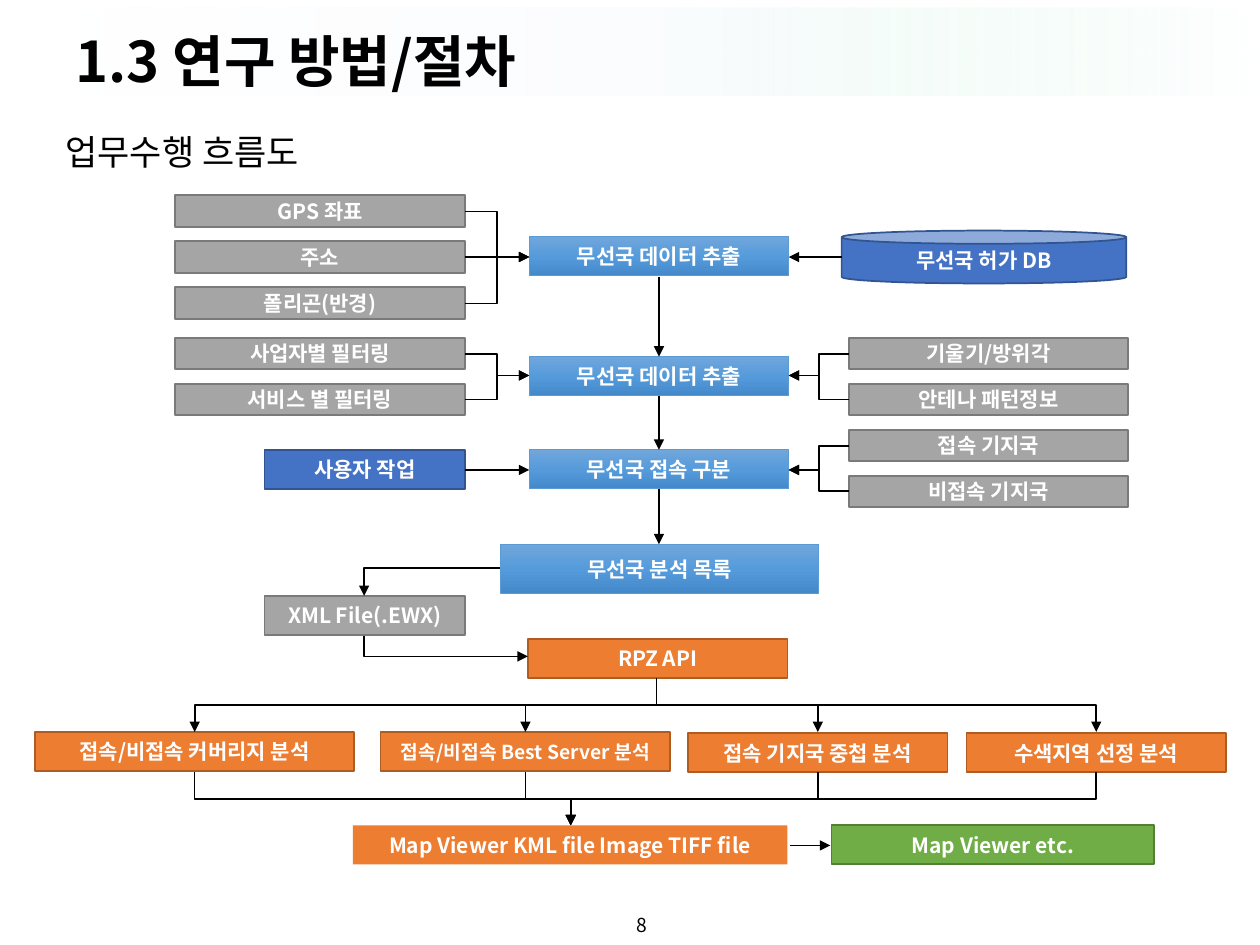
from dataclasses import dataclass

from lxml import etree
from pptx import Presentation
from pptx.dml.color import RGBColor
from pptx.enum.shapes import MSO_CONNECTOR, MSO_SHAPE
from pptx.enum.text import MSO_ANCHOR, PP_ALIGN
from pptx.oxml.ns import qn
from pptx.util import Inches, Pt

RECT, CAN = MSO_SHAPE.RECTANGLE, MSO_SHAPE.CAN
STRAIGHT, ELBOW = MSO_CONNECTOR.STRAIGHT, MSO_CONNECTOR.ELBOW
LEFT, CENTER = PP_ALIGN.LEFT, PP_ALIGN.CENTER
TOP, MIDDLE = MSO_ANCHOR.TOP, MSO_ANCHOR.MIDDLE


@dataclass(frozen=True)
class Theme:
    font: str = "Noto Sans CJK KR"
    title: float = 32
    heading: float = 20
    label: float = 12
    small_label: float = 11
    page_number: float = 11
    ink: str = "000000"
    paper: str = "FFFFFF"
    # Stops are (position %, colour, opacity %)
    header: tuple = ((0, "FFFFFF", 78), (50, "FBFCFE", 100), (100, "DEF9EC", 0))
    step: tuple = ((0, "71A6DB", 100), (50, "559BDB", 100), (100, "448ACA", 100))


THEME = Theme()

# Box styles: fill, outline colour, outline width
GRAY = ("A5A5A5", "7A7A7A", 1)
BLUE = ("4472C4", "325491", 1)
STEP = (THEME.step, "5B9BD5", 0.5)
ORANGE = ("ED7D31", "AF5C24", 1)
PLAIN_ORANGE = ("ED7D31", None, 0)
GREEN = ("70AD47", "538035", 1)

# Shared measures of the flowchart, in inches
ROW_PITCH, ROW_HEIGHT, BOX_HEIGHT = 0.365, 0.25, 0.31
INPUT_LEFT, INPUT_RIGHT = 1.39, 3.69
STEP_LEFT, STEP_RIGHT, STEP_CENTER = 4.2, 6.26, 5.23
DETAIL_LEFT, DETAIL_RIGHT = 6.74, 8.95


def write(shape, text, size, color, bold=False, align=CENTER, anchor=MIDDLE):
    frame = shape.text_frame
    frame.word_wrap = True
    frame.vertical_anchor = anchor
    frame.text = text
    para = frame.paragraphs[0]
    para.alignment = align
    for span in para.runs:
        span.font.size = Pt(size)
        span.font.bold = bold
        span.font.name = THEME.font
        span.font.color.rgb = RGBColor.from_string(color)
        east_asian = etree.SubElement(span.font._element, qn("a:ea"))
        east_asian.set("typeface", THEME.font)
    return frame


def add_text(page, at, text, size, **style):
    box = page.shapes.add_textbox(*map(Inches, at))
    return write(box, text, size, THEME.ink, **style)


def fill_gradient(shape, stops, angle):
    shape.fill.gradient()
    shape.fill.gradient_angle = angle
    stop_list = shape._element.spPr.find(qn("a:gradFill")).find(qn("a:gsLst"))
    for stop in list(stop_list):
        stop_list.remove(stop)
    for position, color, opacity in stops:
        stop = etree.SubElement(stop_list, qn("a:gs"), pos=str(position * 1000))
        tint = etree.SubElement(stop, qn("a:srgbClr"), val=color)
        if opacity < 100:
            etree.SubElement(tint, qn("a:alpha"), val=str(opacity * 1000))


def add_box(page, at, text, style, kind=RECT, size=THEME.label, side=0.04):
    fill, outline, width = style
    box = page.shapes.add_shape(kind, *map(Inches, at))
    box.shadow.inherit = False
    if isinstance(fill, str):
        box.fill.solid()
        box.fill.fore_color.rgb = RGBColor.from_string(fill)
    else:
        fill_gradient(box, fill, 270)
    if outline:
        box.line.color.rgb = RGBColor.from_string(outline)
        box.line.width = Pt(width)
    else:
        box.line.fill.background()
    frame = write(box, text, size, THEME.paper, bold=True)
    frame.margin_left = frame.margin_right = Inches(side)
    frame.margin_top = frame.margin_bottom = Inches(0.04)


def add_arrow(page, start, end, downward=False, corner=False):
    """Elbow arrow, straight if aligned; downward leaves vertically, corner bends once."""
    (x1, y1), (x2, y2) = start, end
    kind = STRAIGHT if x1 == x2 or y1 == y2 else ELBOW
    turn = 0
    if downward and kind == ELBOW:
        # A quarter turn about the middle makes the first leg vertical
        turn = 1 if x2 < x1 else -1
        mid_x, mid_y = (x1 + x2) / 2, (y1 + y2) / 2
        half_x, half_y = turn * (x2 - x1) / 2, turn * (y2 - y1) / 2
        x1, y1 = mid_x - half_y, mid_y + half_x
        x2, y2 = mid_x + half_y, mid_y - half_x
    arrow = page.shapes.add_connector(kind, *map(Inches, (x1, y1, x2, y2)))
    arrow.line.color.rgb = RGBColor.from_string(THEME.ink)
    arrow.line.width = Pt(1)
    properties = arrow._element.spPr
    if turn:
        properties.find(qn("a:xfrm")).set("rot", str(turn % 4 * 5400000))
    if corner:
        properties.find(qn("a:prstGeom")).set("prst", "bentConnector2")
    etree.SubElement(properties.find(qn("a:ln")), qn("a:tailEnd"), type="triangle")
    etree.SubElement(properties, qn("a:effectLst"))


def add_branch(page, left, right, top, labels, edge, target):
    """Stack of gray boxes, each with an arrow from its edge to the target."""
    for row, label in enumerate(labels):
        y = top + row * ROW_PITCH
        add_box(page, (left, y, right - left, ROW_HEIGHT), label, GRAY)
        middle = round(y + ROW_HEIGHT / 2, 2)
        add_arrow(page, (edge, middle), target)


def add_heading(page):
    band = page.shapes.add_shape(RECT, *map(Inches, (0, 0.06, 10, 0.7)))
    band.shadow.inherit = False
    band.line.fill.background()
    fill_gradient(band, THEME.header, 0)
    add_text(page, (0.5, 0.13, 9, 0.69), "1.3 연구 방법/절차", THEME.title,
             bold=True, align=LEFT)
    body = add_text(page, (0.35, 0.99, 9.31, 6.06), "업무수행 흐름도", THEME.heading,
                    align=LEFT, anchor=TOP)
    body.margin_left = Inches(0.17)
    add_text(page, (3.93, 7.14, 2.33, 0.4), "8", THEME.page_number)


def add_extraction(page):
    # Main steps
    for top, label in ((1.88, "무선국 데이터 추출"), (2.83, "무선국 데이터 추출"),
                       (3.57, "무선국 접속 구분")):
        add_box(page, (STEP_LEFT, top, STEP_RIGHT - STEP_LEFT, BOX_HEIGHT), label, STEP)
    add_box(page, (3.97, 4.32, 2.53, 0.39), "무선국 분석 목록", STEP)
    for start, end in ((2.2, 2.83), (3.14, 3.57), (3.88, 4.32)):
        add_arrow(page, (STEP_CENTER, start), (STEP_CENTER, end))

    # Inputs on the left, details on the right
    inputs = ((1.55, ("GPS 좌표", "주소", "폴리곤(반경)"), 2.04),
              (2.68, ("사업자별 필터링", "서비스 별 필터링"), 2.98))
    for top, labels, middle in inputs:
        add_branch(page, INPUT_LEFT, INPUT_RIGHT, top, labels,
                   INPUT_RIGHT, (STEP_LEFT, middle))
    details = ((2.68, ("기울기/방위각", "안테나 패턴정보"), 2.98),
               (3.41, ("접속 기지국", "비접속 기지국"), 3.73))
    for top, labels, middle in details:
        add_branch(page, DETAIL_LEFT, DETAIL_RIGHT, top, labels,
                   DETAIL_LEFT, (STEP_RIGHT, middle))

    # Licence database and user work
    add_box(page, (6.68, 1.83, 2.26, 0.42), "무선국 허가 DB", BLUE, kind=CAN)
    add_arrow(page, (6.68, 2.04), (STEP_RIGHT, 2.04))
    add_box(page, (2.1, 3.57, 1.59, BOX_HEIGHT), "사용자 작업", BLUE)
    add_arrow(page, (INPUT_RIGHT, 3.73), (STEP_LEFT, 3.73))


def add_analysis(page):
    # Exchange file and analysis interface
    add_box(page, (2.1, 4.73, 1.59, BOX_HEIGHT), "XML File(.EWX)", GRAY)
    add_box(page, (4.19, 5.07, 2.06, BOX_HEIGHT), "RPZ API", ORANGE)
    add_arrow(page, (3.97, 4.51), (2.89, 4.73), corner=True)
    add_arrow(page, (2.89, 5.05), (4.19, 5.21), downward=True, corner=True)

    # Four analyses between the interface and the output
    analyses = ((0.28, 5.81, 2.53, "접속/비접속 커버리지 분석", {}),
                (3.02, 5.81, 2.3, "접속/비접속 Best Server 분석",
                 {"size": THEME.small_label, "side": 0}),
                (5.46, 5.82, 2.06, "접속 기지국 중첩 분석", {}),
                (7.67, 5.82, 2.06, "수색지역 선정 분석", {}))
    for left, top, width, label, options in analyses:
        add_box(page, (left, top, width, BOX_HEIGHT), label, ORANGE, **options)
        center = left + width / 2
        add_arrow(page, (5.21, 5.38), (center, 5.81), downward=True)
        add_arrow(page, (center, 6.13), (4.53, 6.55), downward=True)

    # Output files and viewer
    add_box(page, (2.8, 6.55, 3.45, BOX_HEIGHT),
            "Map Viewer KML file Image TIFF file", PLAIN_ORANGE)
    add_box(page, (6.6, 6.55, 2.56, BOX_HEIGHT), "Map Viewer etc.", GREEN)
    add_arrow(page, (6.27, 6.71), (6.59, 6.71))


def main():
    deck = Presentation()
    deck.slide_width, deck.slide_height = Inches(10), Inches(7.5)
    page = deck.slides.add_slide(deck.slide_layouts[6])
    add_heading(page)
    add_extraction(page)
    add_analysis(page)
    deck.save("out.pptx")


if __name__ == "__main__":
    main()
